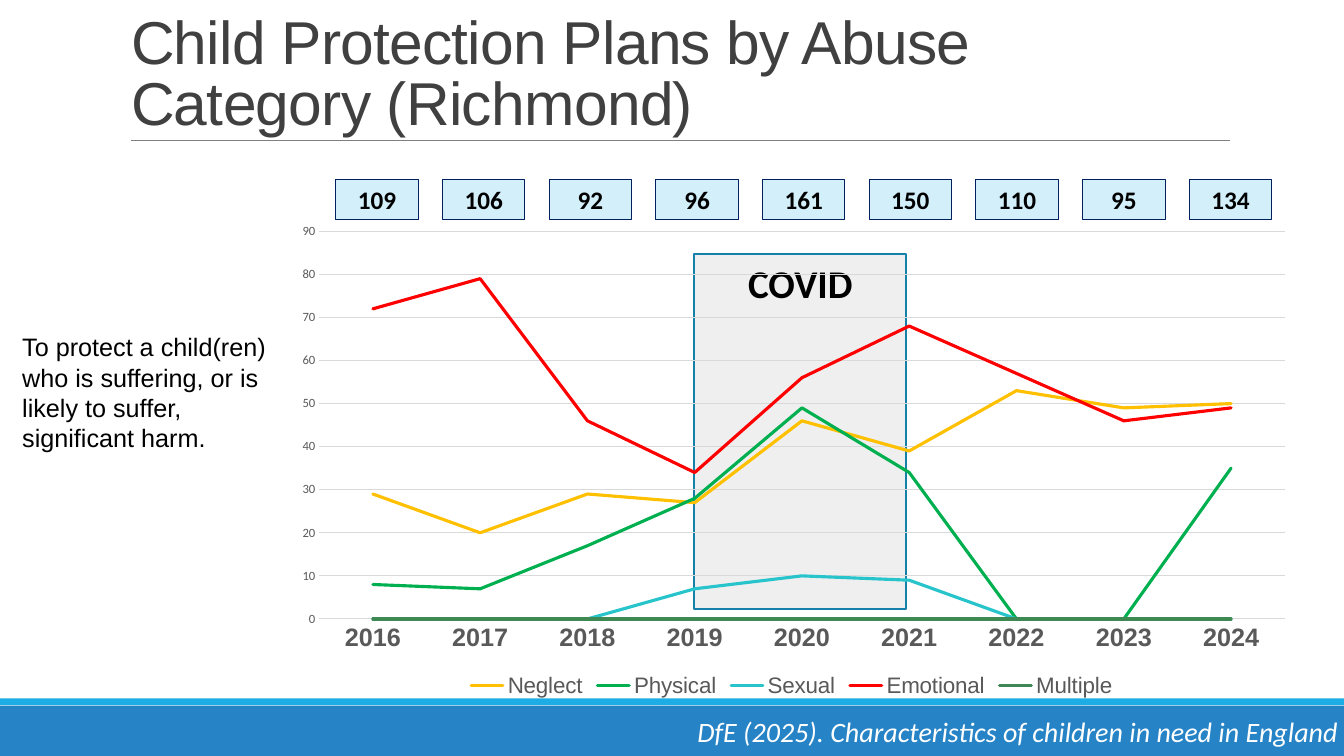
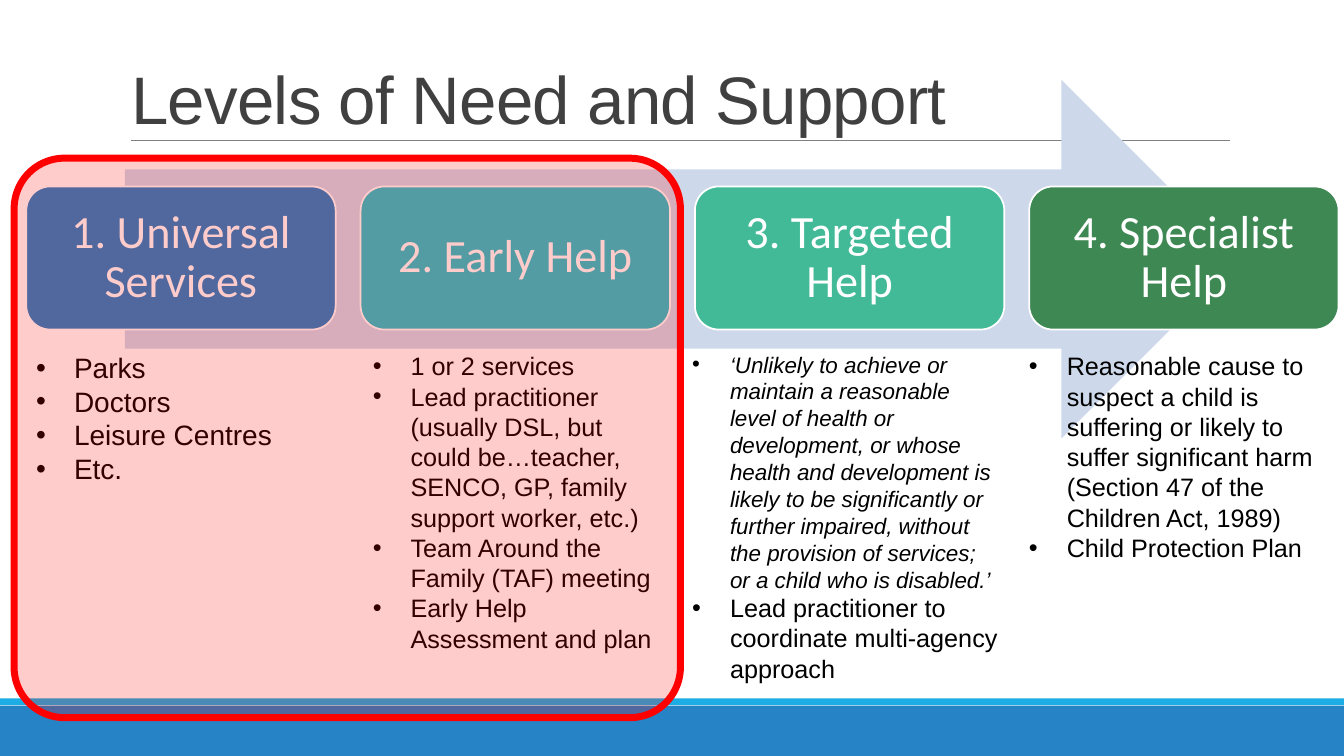
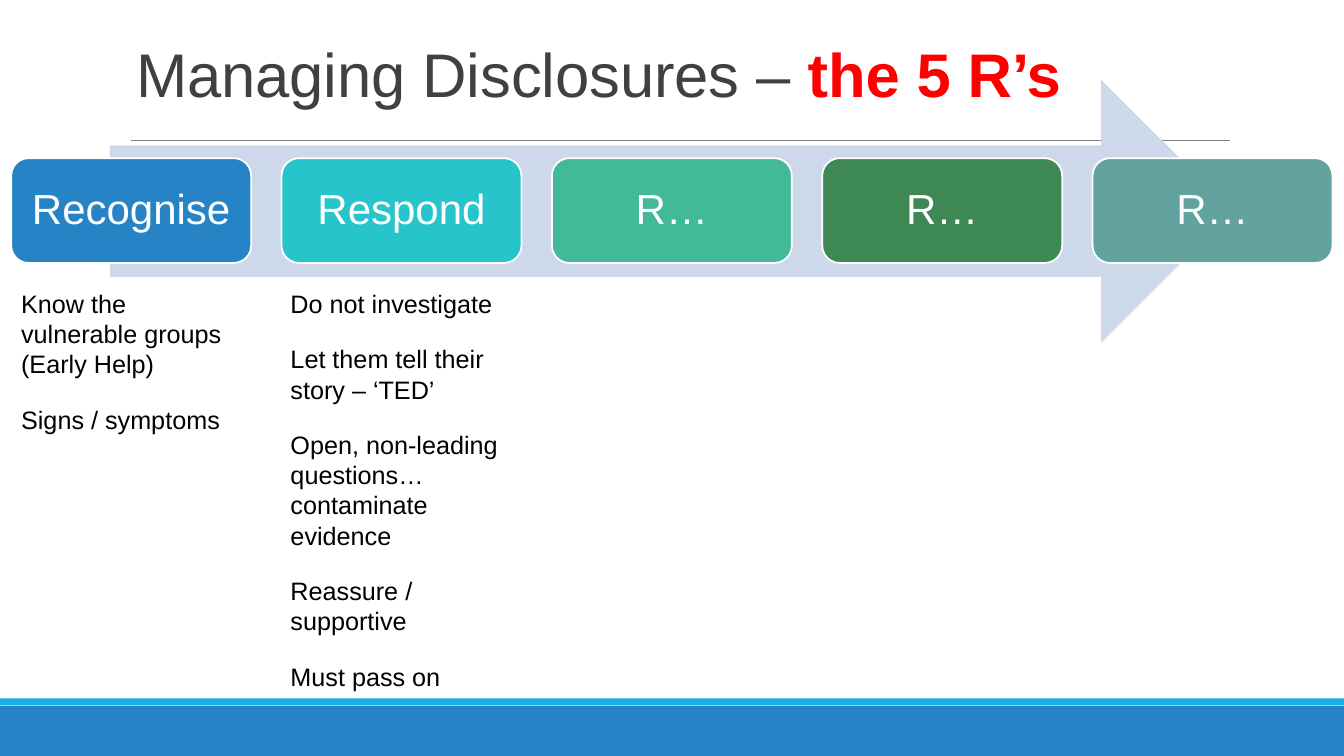
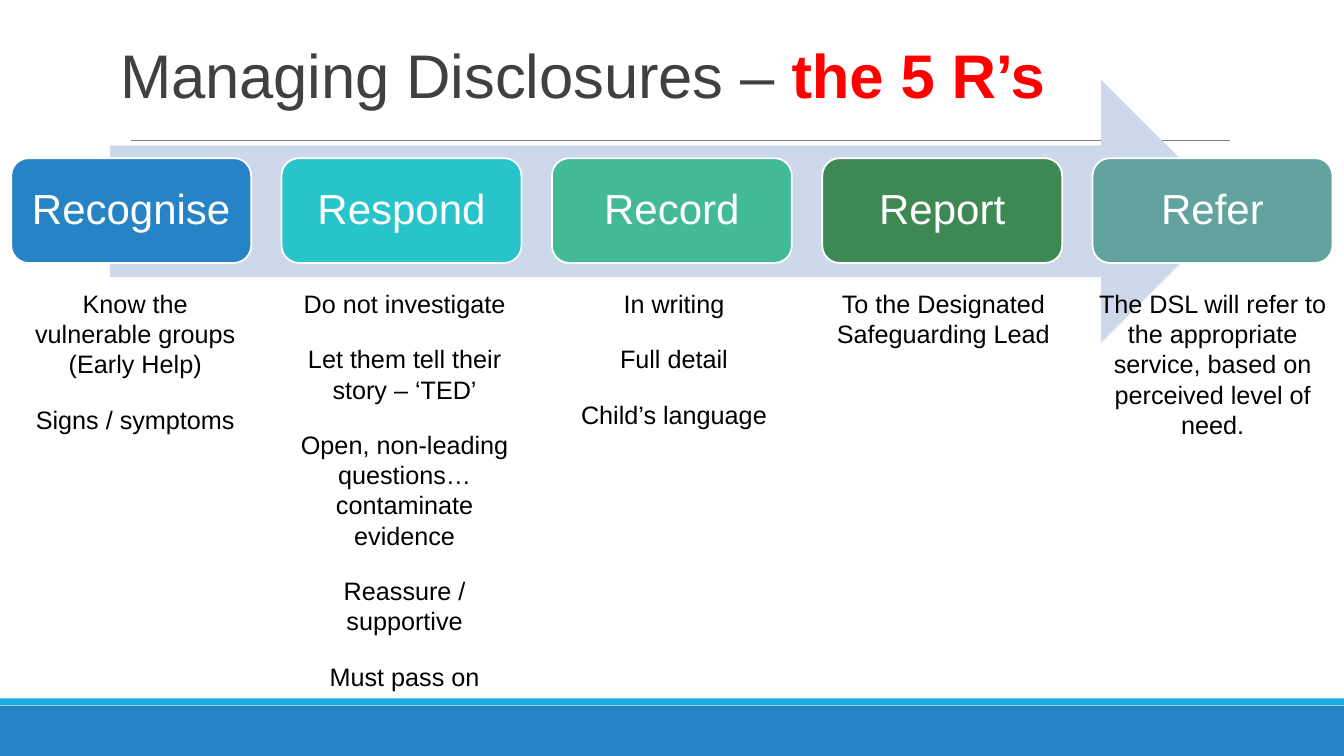
from lxml.etree import SubElement
from pptx import Presentation
from pptx.chart.data import CategoryChartData
from pptx.dml.color import RGBColor
from pptx.enum.chart import XL_CHART_TYPE as CHART, XL_LEGEND_POSITION as LEGEND, XL_TICK_MARK as TICK
from pptx.enum.shapes import MSO_CONNECTOR as CONN, MSO_SHAPE as SHAPE
from pptx.enum.text import MSO_ANCHOR as ANCHOR, MSO_AUTO_SIZE as AUTO, PP_ALIGN as ALIGN
from pptx.oxml import parse_xml
from pptx.oxml.ns import nsdecls, qn
from pptx.util import Pt

C = {
    "black": "000000", "white": "FFFFFF", "red": "FF0000",
    "title": "404040", "rule": "808080", "axis": "595959", "grid": "D9D9D9",
    "blue": "2683C6", "sky": "1CADE4", "cyan": "28C4CC", "mint": "42BA97",
    "green": "3E8853", "sage": "62A39F", "arrow": "CDD9EA",
    "total": "D2EFFA", "navy": "002060", "covid": "BFBFBF", "covid_line": "1580A9",
    "amber": "FFC000", "physical": "00B050",
}
STEP_COLORS = ["blue", "cyan", "mint", "green", "sage"]


def box(s, kind, at, fill=None, line=None, weight=1, alpha=100):
    """Add a preset shape, or a wrapping text box when kind is None."""
    at = [Pt(v) for v in at]
    if kind is None:
        sp = s.shapes.add_textbox(*at)
    else:
        sp = s.shapes.add_shape(kind, *at)
        sp.shadow.inherit = False
        sp.fill.solid()
        sp.fill.fore_color.rgb = RGBColor.from_string(C[fill])
        if alpha < 100:
            clr = sp.fill._xPr.find(".//" + qn("a:srgbClr"))
            SubElement(clr, qn("a:alpha"), val=str(alpha * 1000))
        if line:
            sp.line.color.rgb = RGBColor.from_string(C[line])
            sp.line.width = Pt(weight)
        else:
            sp.line.fill.background()
    sp.text_frame.word_wrap = True
    return sp


def write(p, text, size, font="Arial", color="black", bold=False, italic=False):
    """Add one formatted run to a paragraph."""
    r = p.add_run()
    r.text = text
    r.font.size, r.font.name = Pt(size), font
    r.font.bold, r.font.italic = bold, italic
    r.font.color.rgb = RGBColor.from_string(C[color])
    return r


prs = Presentation()
prs.slide_width, prs.slide_height = Pt(960), Pt(540)
layout = prs.slide_layouts[5]

# Slides and their titles: place, size, letter spacing, side inset, runs
five_rs = [("Managing Disclosures – ", "title", False), ("the 5 R’s", "red", True)]
titles = [
    ((86.4, 22.3, 792, 80), 43.2, -50, 7.2,
     [("Child Protection Plans by Abuse Category (Richmond)", "title", False)]),
    ((86.4, 22.3, 792, 80), 48, -50, 7.2, [("Levels of Need and Support", "title", False)]),
    ((96.5, 32.4, 692, 46), 44, -10, 0.7, five_rs),
    ((85, 33.4, 692, 46), 44, -10, 0.7, five_rs),
]
slides = []
for at, size, spacing, inset, runs in titles:
    s = prs.slides.add_slide(layout)
    t = s.shapes.title
    t.left, t.top, t.width, t.height = [Pt(v) for v in at]
    tf = t.text_frame
    tf.auto_size, tf.vertical_anchor = AUTO.NONE, ANCHOR.BOTTOM
    tf.margin_left = tf.margin_right = Pt(inset)
    if inset < 1:
        tf.margin_top, tf.margin_bottom = Pt(0.7), 0
    p = tf.paragraphs[0]
    p.alignment, p.line_spacing = ALIGN.LEFT, 0.85
    for text, color, bold in runs:
        r = write(p, text, size, color=color, bold=bold)
        r._r.get_or_add_rPr().set("spc", str(spacing))
    slides.append(s)

# Bands and title rule, moved to the shared layout
s = slides[0]
bands = [box(s, SHAPE.RECTANGLE, (0, 504, 960, 36), "blue"),
         box(s, SHAPE.RECTANGLE, (0, 498.8, 960, 5), "sky")]
rule = s.shapes.add_connector(CONN.STRAIGHT, Pt(93.6), Pt(100.2), Pt(878.4), Pt(100.2))
rule.line.color.rgb = RGBColor.from_string(C["rule"])
rule.line.width = Pt(0.5)
SubElement(rule._element.spPr, qn("a:effectLst"))
for sp in bands + [rule]:
    layout.shapes.element.append(sp.element)

# Slide 1: source line and definition
tf = box(s, None, (0, 502, 956, 38)).text_frame
tf.margin_left = tf.margin_right = 0
p = tf.paragraphs[0]
p.alignment, p.line_spacing, p.space_before = ALIGN.RIGHT, 1.2, Pt(6)
write(p, "DfE (2025). Characteristics of children in need in England", 20, "Calibri", "white", italic=True)
p = box(s, None, (8.8, 233.3, 189.4, 94.3)).text_frame.paragraphs[0]
write(p, "To protect a child(ren) who is suffering, or is likely to suffer, significant harm.", 18)

# Slide 1: yearly totals above the chart
years = [str(y) for y in range(2016, 2025)]
series = [
    ("Neglect", "amber", [29, 20, 29, 27, 46, 39, 53, 49, 50]),
    ("Physical", "physical", [8, 7, 17, 28, 49, 34, 0, 0, 35]),
    ("Sexual", "cyan", [0, 0, 0, 7, 10, 9, 0, 0, 0]),
    ("Emotional", "red", [72, 79, 46, 34, 56, 68, 57, 46, 49]),
    ("Multiple", "green", [0] * 9),
]
for i, counts in enumerate(zip(*[values for _, _, values in series])):
    sp = box(s, SHAPE.RECTANGLE, (239.8 + 76.2 * i, 128.3, 59, 28.8), "total", "navy", 0.75)
    p = sp.text_frame.paragraphs[0]
    p.alignment = ALIGN.CENTER
    write(p, str(sum(counts)), 18, "Calibri", bold=True)

# Slide 1: COVID period behind the chart
tf = box(s, SHAPE.RECTANGLE, (496, 181.5, 151.3, 253.5), "covid", "covid_line", 1.25, alpha=24).text_frame
tf.vertical_anchor = ANCHOR.TOP
p = tf.paragraphs[0]
p.alignment = ALIGN.CENTER
write(p, "COVID", 28, "Calibri", bold=True)

# Slide 1: line chart
data = CategoryChartData()
data.categories = years
for name, _, values in series:
    data.add_series(name, values)
chart = s.shapes.add_chart(CHART.LINE, Pt(198.7), Pt(151.2), Pt(733.7), Pt(350.6), data).chart
chart.has_title = False
chart.font.name, chart.font.size = "Calibri", Pt(10)
for line, (_, color, _) in zip(chart.plots[0].series, series):
    line.smooth = False
    line.format.line.color.rgb = RGBColor.from_string(C[color])
    line.format.line.width = Pt(2.25)
    line.format.line._ln.set("cap", "rnd")
chart.has_legend = True
legend = chart.legend
legend.position, legend.include_in_layout = LEGEND.BOTTOM, False
cat, val = chart.category_axis, chart.value_axis
for part, font, size, bold in [(cat.tick_labels, "Arial", 18, True),
                               (val.tick_labels, "Calibri", 9, False),
                               (legend, "Arial", 16, False)]:
    part.font.name, part.font.size, part.font.bold = font, Pt(size), bold
    part.font.color.rgb = RGBColor.from_string(C["axis"])
val.minimum_scale, val.maximum_scale, val.major_unit = 0, 90, 10
val.format.line.fill.background()
for axis in (cat, val):
    axis.major_tick_mark = axis.minor_tick_mark = TICK.NONE
for ln in (cat.format.line, val.major_gridlines.format.line):
    ln.color.rgb = RGBColor.from_string(C["grid"])
    ln.width = Pt(0.75)

# Slide 1: fixed plot area
plot_area = chart._chartSpace.chart.plotArea
for old in plot_area.findall(qn("c:layout")):
    plot_area.remove(old)
plot_area.insert(0, parse_xml(
    f'<c:layout {nsdecls("c")}><c:manualLayout><c:layoutTarget val="inner"/>'
    '<c:xMode val="edge"/><c:yMode val="edge"/><c:x val="0.04"/><c:y val="0.04"/>'
    '<c:w val="0.94"/><c:h val="0.79"/></c:manualLayout></c:layout>'))

# Slides 2 to 4: arrow with a row of step cards
steps = ["Recognise", "Respond", "Record", "Report", "Refer"]
levels = ["1. Universal Services", "2. Early Help", "3. Targeted Help", "4. Specialist Help"]
level_row = ((89.3, 56.9, 797, 256.3), (18.8, 133.2, 221, 102.2), 238.8, 10, 33, "Calibri")
step_row = ((78.5, 56.9, 802, 187.9), (8, 113, 171.4, 74.9), 193.1, 8.6, 30, "Arial")
for s, names, row in [(slides[1], levels, level_row),
                      (slides[2], steps[:2] + ["R…"] * 3, step_row),
                      (slides[3], steps, step_row)]:
    arrow, (x, y, w, h), pitch, inset, size, font = row
    box(s, SHAPE.RIGHT_ARROW, arrow, "arrow")
    for i, name in enumerate(names):
        sp = box(s, SHAPE.ROUNDED_RECTANGLE, (x + pitch * i, y, w, h), STEP_COLORS[i], "white", 1.25)
        tf = sp.text_frame
        tf.margin_left = tf.margin_right = tf.margin_top = tf.margin_bottom = Pt(inset)
        p = tf.paragraphs[0]
        p.alignment, p.line_spacing = ALIGN.CENTER, 0.9
        write(p, name, size, font, "white")

# Slide 2: bulleted columns (left, width, items of text, size, italic)
s = slides[1]
columns = [
    (18.8, 221, [(t, 20, False) for t in ("Parks", "Doctors", "Leisure Centres", "Etc.")]),
    (259.2, 221, [
        ("1 or 2 services", 18, False),
        ("Lead practitioner (usually DSL, but could be…teacher, SENCO, GP, "
         "family support worker, etc.)", 18, False),
        ("Team Around the Family (TAF) meeting", 18, False),
        ("Early Help Assessment and plan", 18, False)]),
    (487.4, 233.3, [
        ("‘Unlikely to achieve or maintain a reasonable level of health or development, "
         "or whose health and development is likely to be significantly or further impaired, "
         "without the provision of services; or a child who is disabled.’", 16, True),
        ("Lead practitioner to coordinate multi-agency approach", 18, False)]),
    (727.9, 221, [
        ("Reasonable cause to suspect a child is suffering or likely to suffer significant harm "
         "(Section 47 of the Children Act, 1989)", 18, False),
        ("Child Protection Plan", 18, False)]),
]
for x, w, items in columns:
    tf = box(s, None, (x, 247, w, 225)).text_frame
    for i, (text, size, italic) in enumerate(items):
        p = tf.add_paragraph() if i else tf.paragraphs[0]
        pPr = p._p.get_or_add_pPr()
        pPr.set("marL", str(Pt(27)))
        pPr.set("indent", str(-Pt(27)))
        SubElement(pPr, qn("a:buFont"), typeface="Arial")
        SubElement(pPr, qn("a:buChar"), char="•")
        write(p, text, size, italic=italic)

# Slide 2: red highlight over the first two levels
sp = box(s, SHAPE.ROUNDED_RECTANGLE, (10.1, 113, 475.9, 399.6), "red", "red", 5, alpha=20)
sp.adjustments[0] = 0.09

# Slides 3 and 4: notes under the steps
notes = [
    ["Know the vulnerable groups (Early Help)", "Signs / symptoms"],
    ["Do not investigate", "Let them tell their story – ‘TED’",
     "Open, non-leading questions… contaminate evidence", "Reassure / supportive", "Must pass on"],
    ["In writing", "Full detail", "Child’s language"],
    ["To the Designated Safeguarding Lead"],
    ["The DSL will refer to the appropriate service, based on perceived level of need."],
]
for s, shown, align in [(slides[2], notes[:2], ALIGN.LEFT), (slides[3], notes, ALIGN.CENTER)]:
    for i, lines in enumerate(shown):
        tf = box(s, None, (8 + 192.4 * i, 202.3, 177.2, 290)).text_frame
        for j, text in enumerate(lines):
            p = tf.add_paragraph() if j else tf.paragraphs[0]
            p.alignment, p.space_after = align, Pt(18)
            write(p, text, 18)

prs.save("out.pptx")
